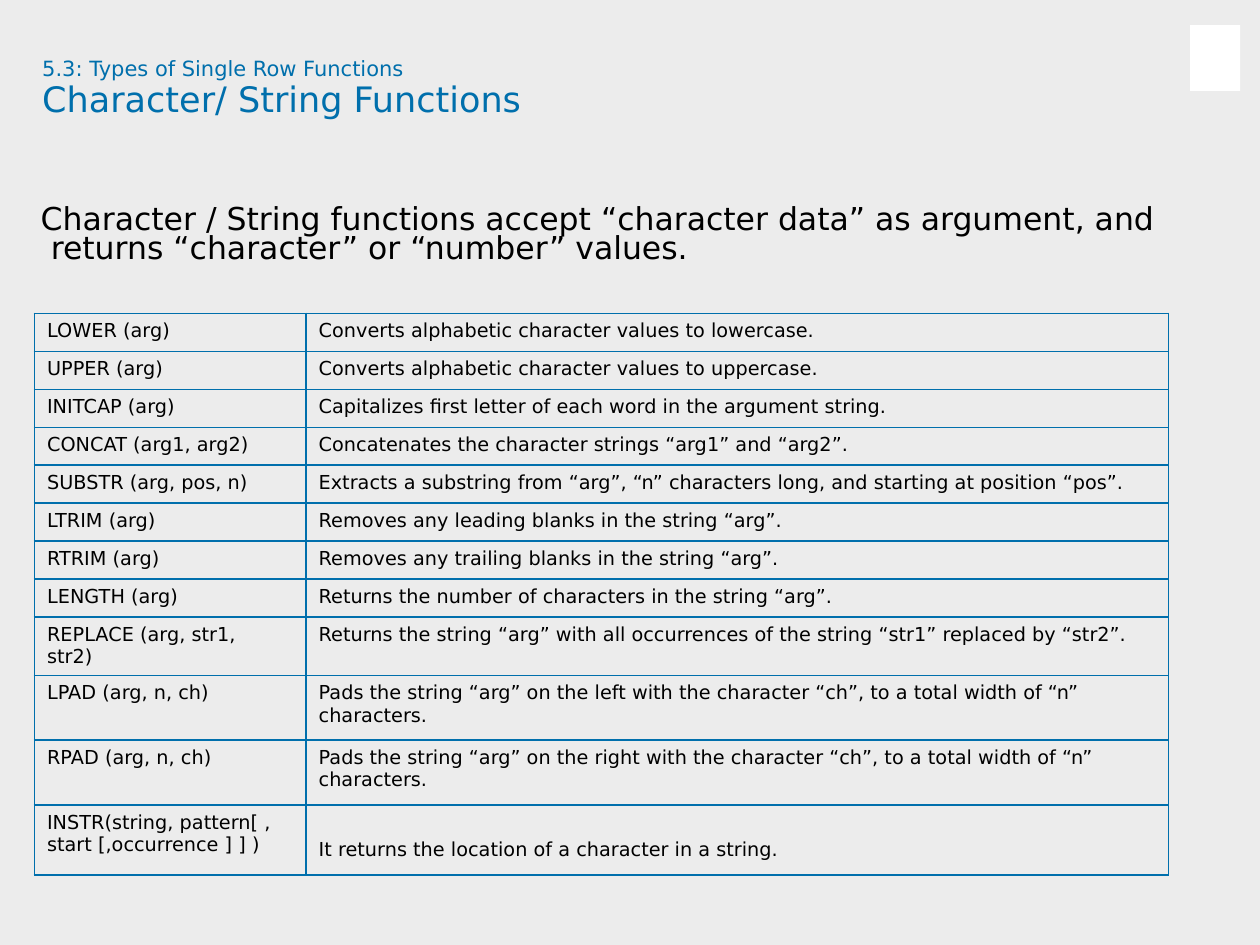
from lxml.etree import SubElement
from pptx import Presentation
from pptx.dml.color import RGBColor
from pptx.enum.shapes import MSO_SHAPE
from pptx.enum.text import MSO_ANCHOR, MSO_AUTO_SIZE, PP_ALIGN
from pptx.oxml.ns import qn
from pptx.util import Pt

BLUE = RGBColor(0x00, 0x6F, 0xAC)
BLACK = RGBColor(0x00, 0x00, 0x00)
WHITE = RGBColor(0xFF, 0xFF, 0xFF)
GREY = RGBColor(0xEC, 0xEC, 0xEC)

ROWS = [
    ("LOWER (arg)", "Converts alphabetic character values to lowercase."),
    ("UPPER (arg)", "Converts alphabetic character values to uppercase."),
    ("INITCAP (arg)", "Capitalizes first letter of each word in the argument string."),
    ("CONCAT (arg1, arg2)", "Concatenates the character strings “arg1” and “arg2”."),
    ("SUBSTR (arg, pos, n)",
     "Extracts a substring from “arg”, “n” characters long, and starting at position “pos”."),
    ("LTRIM (arg)", "Removes any leading blanks in the string “arg”."),
    ("RTRIM (arg)", "Removes any trailing blanks in the string “arg”."),
    ("LENGTH (arg)", "Returns the number of characters in the string “arg”."),
    ("REPLACE (arg, str1, str2)",
     "Returns the string “arg” with all occurrences of the string “str1” replaced by “str2”."),
    ("LPAD (arg, n, ch)",
     "Pads the string “arg” on the left with the character “ch”, to a total width of “n”\ncharacters."),
    ("RPAD (arg, n, ch)",
     "Pads the string “arg” on the right with the character “ch”, to a total width of “n”\ncharacters."),
    ("INSTR(string, pattern[ , start [,occurrence ] ] )",
     "It returns the location of a character in a string."),
]
HEIGHTS = [21.7] * 8 + [33.4, 37, 37, 40]
WIDTHS = [155.2, 492.8]


class Deck:
    font = "DejaVu Sans"

    def __init__(self, slide):
        self.slide = slide

    def style(self, frame, size, color):
        for para in frame.paragraphs:
            para.alignment = PP_ALIGN.LEFT
            para.space_before = Pt(0)
            for run in para.runs:
                run.font.name = self.font
                run.font.size = Pt(size)
                run.font.color.rgb = color

    def fit(self, shape, box, text, size, color, top=0.7):
        shape.left, shape.top, shape.width, shape.height = map(Pt, box)
        frame = shape.text_frame
        frame.text = text
        frame.word_wrap = True
        frame.auto_size = MSO_AUTO_SIZE.NONE
        frame.vertical_anchor = MSO_ANCHOR.TOP
        frame.margin_left = Pt(0.7)
        frame.margin_right = frame.margin_bottom = Pt(0)
        frame.margin_top = Pt(top)
        self.style(frame, size, color)

    def label(self, box, text, size, color):
        shape = self.slide.shapes.add_textbox(*map(Pt, box))
        self.fit(shape, box, text, size, color)

    def title(self, box, text, size, color):
        self.fit(self.slide.shapes.title, box, text, size, color)

    def body(self, box, text, size, color):
        shape = self.slide.placeholders[1]
        self.fit(shape, box, text, size, color, 5.8)
        para = shape.text_frame.paragraphs[0]
        para.line_spacing = 0.78
        # Hanging indent without a bullet
        props = para._p.get_or_add_pPr()
        props.set("marL", str(Pt(5.8)))
        props.set("indent", str(-Pt(5.8)))
        SubElement(props, qn("a:buNone"))

    def block(self, box, color):
        shape = self.slide.shapes.add_shape(MSO_SHAPE.RECTANGLE, *map(Pt, box))
        shape.shadow.inherit = False
        shape.fill.solid()
        shape.fill.fore_color.rgb = color
        shape.line.fill.background()

    def border(self, cell, color):
        props = cell._tc.get_or_add_tcPr()
        for spot, side in enumerate(("lnL", "lnR", "lnT", "lnB")):
            line = SubElement(props, qn("a:" + side), w=str(Pt(1)))
            fill = SubElement(line, qn("a:solidFill"))
            SubElement(fill, qn("a:srgbClr"), val=str(color))
            props.remove(line)
            props.insert(spot, line)

    def cell(self, cell, text, top, right):
        cell.text = text
        cell.margin_left, cell.margin_right = Pt(7.2), Pt(right)
        cell.margin_top, cell.margin_bottom = Pt(top), Pt(0)
        cell.fill.solid()
        cell.fill.fore_color.rgb = GREY
        self.border(cell, BLUE)
        self.style(cell.text_frame, 11, BLACK)

    def table(self, left, top, rows):
        frame = self.slide.shapes.add_table(
            len(rows), len(WIDTHS), Pt(left), Pt(top),
            Pt(sum(WIDTHS)), Pt(sum(HEIGHTS)))
        grid = frame.table
        grid.first_row = grid.horz_banding = False
        for col, width in zip(grid.columns, WIDTHS):
            col.width = Pt(width)
        for r, (name, note) in enumerate(rows):
            grid.rows[r].height = Pt(HEIGHTS[r])
            last = r == len(rows) - 1
            self.cell(grid.cell(r, 0), name, 3.6, 17)
            self.cell(grid.cell(r, 1), note, 19 if last else 3.6, 0)


def main():
    prs = Presentation()
    prs.slide_width, prs.slide_height = Pt(720), Pt(540)
    slide = prs.slides.add_slide(prs.slide_layouts[1])
    deck = Deck(slide)

    # Background and corner block
    slide.background.fill.solid()
    slide.background.fill.fore_color.rgb = GREY
    deck.block((680, 14.4, 28.6, 37.6), WHITE)

    # Headings
    deck.label((23.4, 31.2, 240, 16.5), "5.3: Types of Single Row Functions", 12, BLUE)
    deck.title((23.4, 43.5, 300, 26), "Character/ String Functions", 20, BLUE)

    # Introduction
    deck.body((22.5, 112.3, 645, 40),
              "Character / String functions accept “character data” as argument, "
              "and returns “character” or “number” values.", 18, BLACK)

    # Function table
    deck.table(19.7, 179.1, ROWS)
    prs.save("out.pptx")


if __name__ == "__main__":
    main()
